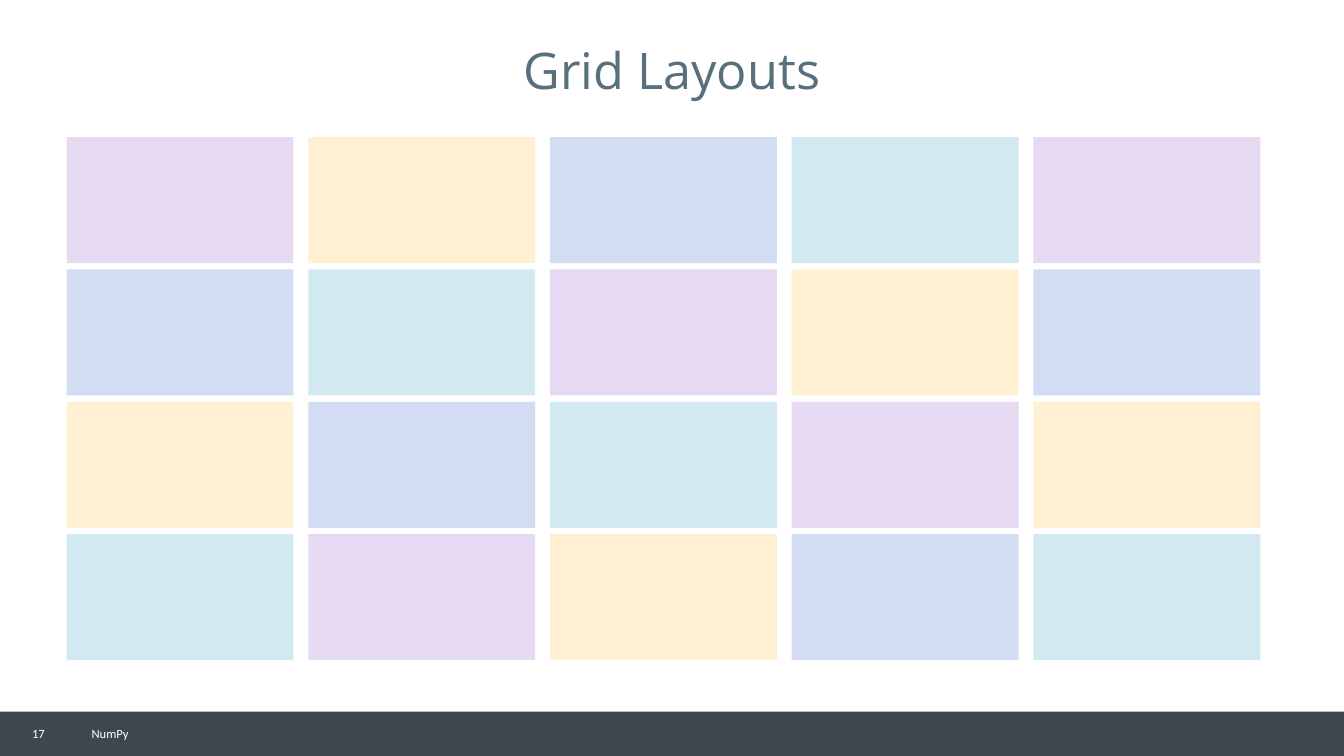
from dataclasses import dataclass

from lxml.etree import SubElement
from pptx import Presentation
from pptx.dml.color import RGBColor
from pptx.enum.shapes import MSO_SHAPE as Shape
from pptx.enum.text import MSO_ANCHOR as Anchor, PP_ALIGN as Align
from pptx.oxml.ns import qn
from pptx.util import Inches, Pt


@dataclass(frozen=True)
class Theme:
    """Colours, fonts and type sizes of the deck."""
    title_font: str = "Open Sans"
    footer_font: str = "Calibri"
    title_size: int = 36
    footer_size: int = 9
    title_color: str = "586F7C"
    footer_color: str = "FFFFFF"
    bar_color: str = "3F474E"
    purple: tuple = ("9866CF", 24)
    yellow: tuple = ("FFC553", 25)
    blue: tuple = ("4D77CF", 25)
    teal: tuple = ("4DABCF", 25)


THEME = Theme()
TILE_COLORS = {"P": THEME.purple, "Y": THEME.yellow, "B": THEME.blue, "T": THEME.teal}
TILE_ROWS = ("PYBTP", "BTPYB", "YBTPY", "TPYBT")
TILE_SIZE = (2.25, 1.25)
SLIDE_SIZE = (13.33, 7.5)


def add_rect(shapes, box, color, opacity=100):
    """Add a borderless rectangle with an opacity in percent."""
    rect = shapes.add_shape(Shape.RECTANGLE, *map(Inches, box))
    rect.shadow.inherit = False
    rect.line.fill.background()
    rect.fill.solid()
    rect.fill.fore_color.rgb = RGBColor.from_string(color)
    if opacity < 100:
        fill = rect.fill._xPr.find(qn("a:solidFill"))
        SubElement(fill[0], qn("a:alpha")).set("val", str(opacity * 1000))
    return rect


def add_text(page, box, text, *, font, size, color, align=Align.LEFT, spacing=1.0):
    """Add one vertically centred line of text."""
    frame = page.shapes.add_textbox(*map(Inches, box)).text_frame
    frame.word_wrap = True
    frame.vertical_anchor = Anchor.MIDDLE
    para = frame.paragraphs[0]
    para.alignment = align
    para.line_spacing = spacing
    span = para.add_run()
    span.text = text
    span.font.name = font
    span.font.size = Pt(size)
    span.font.color.rgb = RGBColor.from_string(color)


def add_title(page, box, text):
    """Add the centred slide title."""
    add_text(page, box, text, font=THEME.title_font, size=THEME.title_size,
             color=THEME.title_color, align=Align.CENTER, spacing=0.9)


def add_tile_grid(page, box, rows):
    """Spread equal tiles over the box, one colour letter per tile."""
    left, top, width, height = box
    tile_width, tile_height = TILE_SIZE
    step_x = (width - tile_width) / (len(rows[0]) - 1)
    step_y = (height - tile_height) / (len(rows) - 1)
    grid = page.shapes.add_group_shape()
    for row, letters in enumerate(rows):
        for column, letter in enumerate(letters):
            place = (left + column * step_x, top + row * step_y)
            add_rect(grid.shapes, place + TILE_SIZE, *TILE_COLORS[letter])


def add_footer(page, box, number, topic):
    """Add the dark bar with the page number and topic."""
    left, top, _, height = box
    style = dict(font=THEME.footer_font, size=THEME.footer_size, color=THEME.footer_color)
    add_rect(page.shapes, box, THEME.bar_color)
    add_text(page, (left + 0.81, top, 6.21, height), topic, **style)
    add_text(page, (left + 0.22, top, 0.55, height), number, **style)


def main():
    """Build and save the deck."""
    deck = Presentation()
    deck.slide_width, deck.slide_height = map(Inches, SLIDE_SIZE)
    page = deck.slides.add_slide(deck.slide_layouts[6])
    add_footer(page, (0, 7.06, 13.33, 0.44), "17", "NumPy")
    add_title(page, (0, 0, 13.33, 1.45), "Grid Layouts")
    add_tile_grid(page, (0.66, 1.36, 11.84, 5.19), TILE_ROWS)
    deck.save("out.pptx")


if __name__ == "__main__":
    main()
